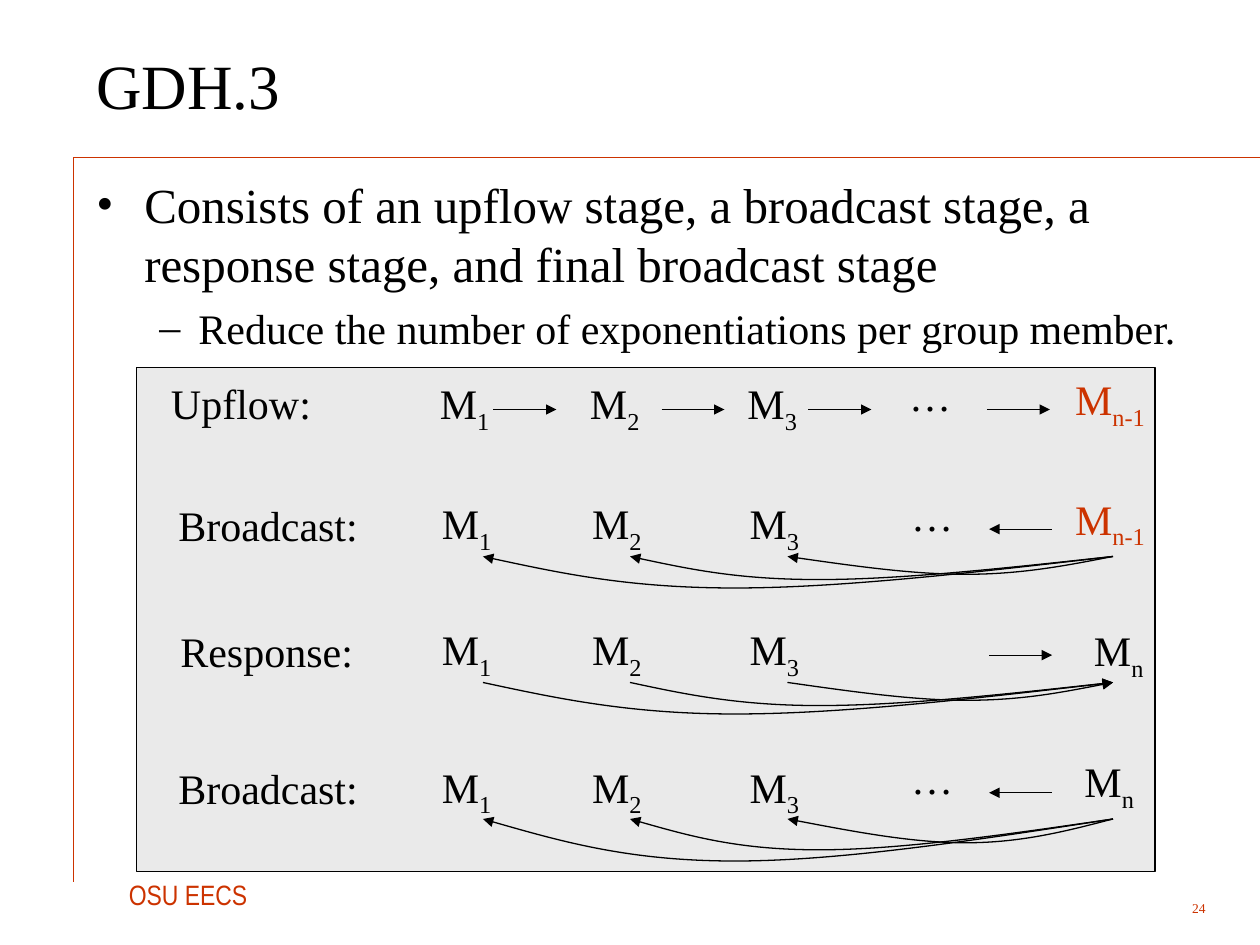
from dataclasses import dataclass

from lxml.etree import SubElement
from pptx import Presentation
from pptx.dml.color import RGBColor
from pptx.enum.shapes import MSO_CONNECTOR as Connector, MSO_SHAPE as Preset
from pptx.enum.text import MSO_ANCHOR as Anchor, MSO_AUTO_SIZE as AutoSize, PP_ALIGN as Align
from pptx.oxml.ns import qn
from pptx.util import Inches, Pt


@dataclass(frozen=True)
class Theme:
    ink: str = "000000"
    accent: str = "CC3300"
    panel: str = "EAEAEA"
    serif: str = "Times New Roman"
    narrow: str = "Arial Narrow"
    title: float = 36
    body: float = 28
    label: float = 24
    footer: float = 16
    number: float = 7.7
    thin: float = 0.25
    line: float = 0.75


THEME = Theme()
CELL = 1 / 12  # the grid has 120 columns and 90 rows


def grid(cells):
    return Inches(cells * CELL)


class Sketch:
    """Draws on one slide; every length is in grid columns and rows."""

    def __init__(self, page, theme):
        self.page, self.theme = page, theme

    def span(self, para, words, size, color=None, font=None, subscript=False):
        span = para.add_run()
        span.text = words
        span.font.size = Pt(size)
        span.font.name = font or self.theme.serif
        span.font.color.rgb = RGBColor.from_string(color or self.theme.ink)
        if subscript:
            span.font._element.set("baseline", "-25000")

    def box(self, left, top, width, height, wrap=False, anchor=Anchor.TOP):
        box = self.page.shapes.add_textbox(*map(grid, (left, top, width, height)))
        frame = box.text_frame
        frame.word_wrap = wrap
        frame.auto_size = AutoSize.NONE if wrap else AutoSize.SHAPE_TO_FIT_TEXT
        frame.vertical_anchor = anchor
        return frame

    def label(self, left, top, width, words):
        para = self.box(left, top, width, 6).paragraphs[0]
        self.span(para, words, self.theme.label)

    def member(self, left, top, index, width=7.1, color=None):
        para = self.box(left, top, width, 6.7).paragraphs[0]
        self.span(para, "M", self.theme.label, color)
        self.span(para, index, self.theme.label, color, subscript=True)

    def bullet(self, para, mark, indent, hang, level=0):
        para.level = level
        props = para._p.get_or_add_pPr()
        props.set("marL", str(Inches(indent)))
        props.set("indent", str(-Inches(hang)))
        color = SubElement(props, qn("a:buClr"))
        SubElement(color, qn("a:srgbClr"), val=self.theme.ink)
        SubElement(props, qn("a:buFont"), typeface=self.theme.serif)
        SubElement(props, qn("a:buChar"), char=mark)

    def stroke(self, shape, color=None, width=None, arrow=None):
        shape.line.color.rgb = RGBColor.from_string(color or self.theme.ink)
        shape.line.width = Pt(width or self.theme.line)
        if arrow:
            SubElement(shape.line._get_or_add_ln(), qn(f"a:{arrow}"), type="triangle")

    def line(self, start, end, color=None, width=None, arrow=None):
        line = self.page.shapes.add_connector(
            Connector.STRAIGHT, *map(grid, (*start, *end)))
        self.stroke(line, color, width, arrow)
        SubElement(line._element.spPr, qn("a:effectLst"))

    def panel(self, left, top, width, height):
        panel = self.page.shapes.add_shape(
            Preset.RECTANGLE, *map(grid, (left, top, width, height)))
        panel.shadow.inherit = False
        panel.fill.solid()
        panel.fill.fore_color.rgb = RGBColor.from_string(self.theme.panel)
        self.stroke(panel)

    def curve(self, start, middle, end, top, depth, lead, trail, arrow):
        """A sagging line of two Bezier pieces that meet at its lowest point."""
        out, back = start - middle, middle - end
        half, low = top + depth / 2, top + depth
        points = [
            (start - lead * out, half), (start - 2 * lead * out, low), (middle, low),
            (middle - trail * back, low), (middle - (1 + trail) / 2 * back, half),
            (end, top),
        ]
        builder = self.page.shapes.build_freeform(grid(start), grid(top))
        builder.add_line_segments([tuple(map(grid, point)) for point in points], close=False)
        curve = builder.convert_to_shape()
        outline = next(curve._element.iter(qn("a:path")))
        segments = outline.findall(qn("a:lnTo"))
        for first in range(0, len(segments), 3):
            bezier = SubElement(outline, qn("a:cubicBezTo"))
            for segment in segments[first:first + 3]:
                bezier.append(segment[0])
                outline.remove(segment)
        curve.shadow.inherit = False
        curve.fill.background()
        self.stroke(curve, arrow=arrow)


# Stages: name, name column, top row, name drop, last index, its column, row shift and width
STAGES = [
    ("Upflow:", 15.1, 35.4, 0, "n-1", 101.2, -0.4, 9.5),
    ("Broadcast:", 15.8, 46.8, 0.2, "n-1", 101.2, -0.4, 9.5),
    ("Response:", 16, 58.8, 0.2, "n", 103, 0.1, 7.1),
    ("Broadcast:", 15.8, 71.9, 0.1, "n", 102.1, -0.5, 7.1),
]
NAME_WIDTHS = {"Upflow:": 16, "Broadcast:": 20, "Response:": 19.4}
MEMBERS = {"1": 40.7, "2": 55, "3": 70}
UPFLOW_ARROWS = (47, 63, 77, 94)
ARROW_LENGTH = 6
# Curves: end column, lowest column, depth, lead and trail of the Bezier handles
CURVES = [(75, 92, 1.7, 0.31, 0.3), (60, 78, 2.2, 0.36, 0.43), (46, 70, 3, 0.36, 0.42)]
# Top row of the curves, depth factor and arrowhead, by stage
CURVE_ROWS = {1: (53, 1, "tailEnd"), 2: (65, 1, "headEnd"), 3: (78, 4 / 3, "tailEnd")}


def main():
    deck = Presentation()
    deck.slide_width, deck.slide_height = Inches(10), Inches(7.5)
    sketch = Sketch(deck.slides.add_slide(deck.slide_layouts[6]), THEME)

    # Rules and footer
    sketch.line((7, 15), (120, 15), THEME.accent, THEME.thin)
    sketch.line((7, 15), (7, 84), THEME.accent)
    para = sketch.box(11.1, 83, 14.5, 4.4).paragraphs[0]
    sketch.span(para, "OSU EECS", THEME.footer, THEME.accent, THEME.narrow)
    para = sketch.box(106, 85, 10, 3, wrap=True, anchor=Anchor.MIDDLE).paragraphs[0]
    para.alignment = Align.RIGHT
    sketch.span(para, "24", THEME.number, THEME.accent)

    # Title and bullets
    para = sketch.box(8, 2, 108, 12, wrap=True, anchor=Anchor.MIDDLE).paragraphs[0]
    sketch.span(para, "GDH.3", THEME.title)
    body = sketch.box(8, 16, 108.4, 20, wrap=True)
    para = body.paragraphs[0]
    sketch.bullet(para, "•", 0.38, 0.38)
    sketch.span(para, "Consists of an upflow stage, a broadcast stage, a response stage, "
                "and final broadcast stage", THEME.body)
    para = body.add_paragraph()
    para.space_before = Pt(6)
    sketch.bullet(para, "–", 0.81, 0.31, level=1)
    sketch.span(para, "Reduce the number of exponentiations per group member.", THEME.label)

    # Stages of the protocol
    sketch.panel(13, 35, 97, 48)
    for stage, (name, column, top, drop, last, last_column, shift, width) in enumerate(STAGES):
        nudge = 0.2 if stage else 0
        sketch.label(column, top + drop, NAME_WIDTHS[name], name)
        for index, left in MEMBERS.items():
            sketch.member(left + nudge, top, index)
        color = THEME.accent if last == "n-1" else THEME.ink
        sketch.member(last_column, top + shift, last, width, color)
        if name != "Response:":
            sketch.label(85.4 + nudge, top - 0.8, 6.4, "…")

        # Straight arrows between neighbours
        arrow = "headEnd" if name == "Broadcast:" else "tailEnd"
        for left in UPFLOW_ARROWS[-1:] if stage else UPFLOW_ARROWS:
            start = left + nudge
            sketch.line((start, top + 3.6), (start + ARROW_LENGTH, top + 3.6), arrow=arrow)

        # Curves between the last member and the others
        if stage in CURVE_ROWS:
            row, factor, arrow = CURVE_ROWS[stage]
            for end, middle, depth, lead, trail in CURVES:
                sketch.curve(106, middle, end, row, depth * factor, lead, trail, arrow)

    deck.save("out.pptx")


if __name__ == "__main__":
    main()
